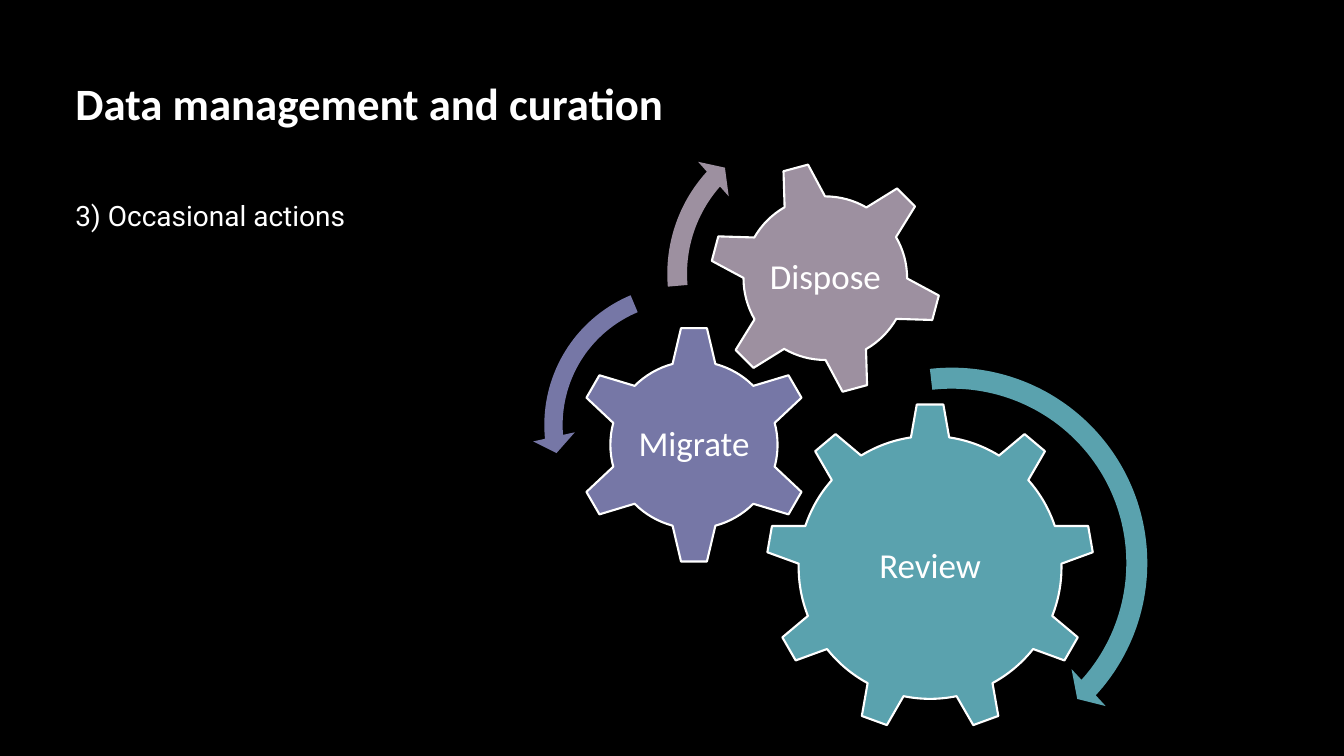
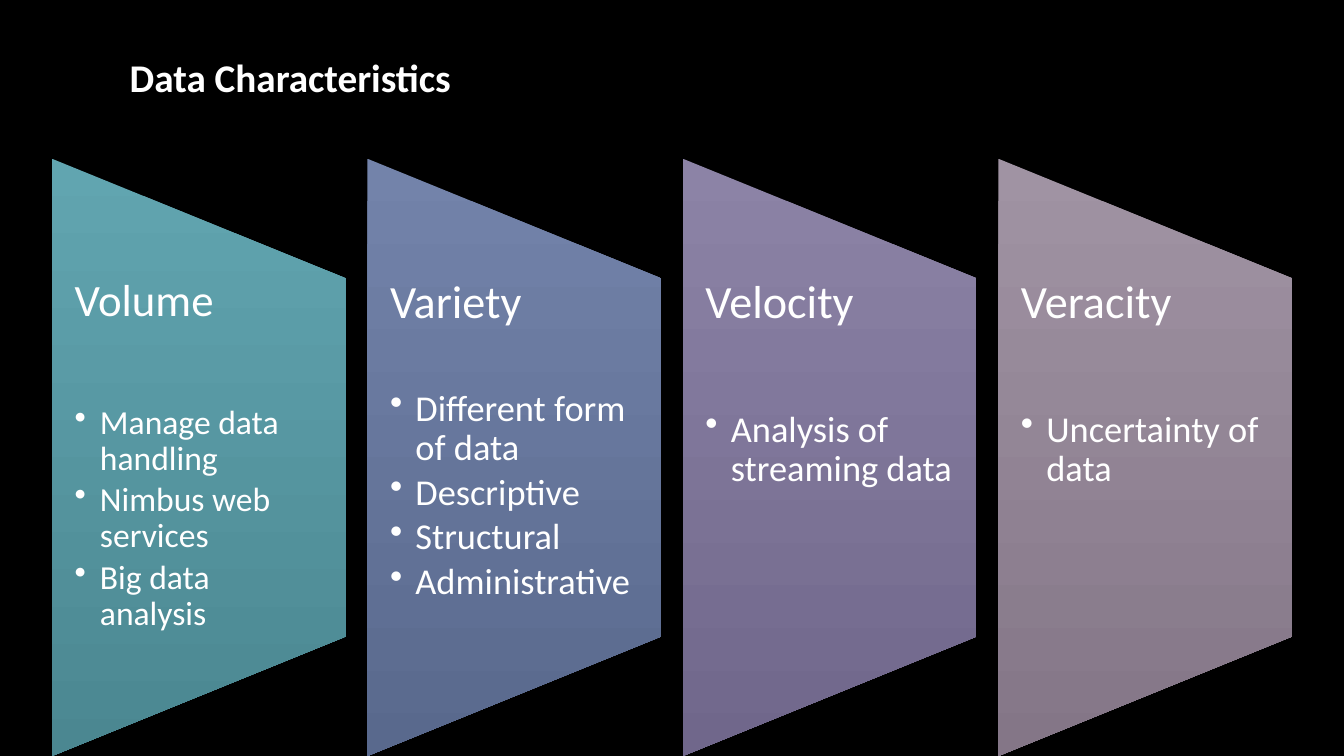
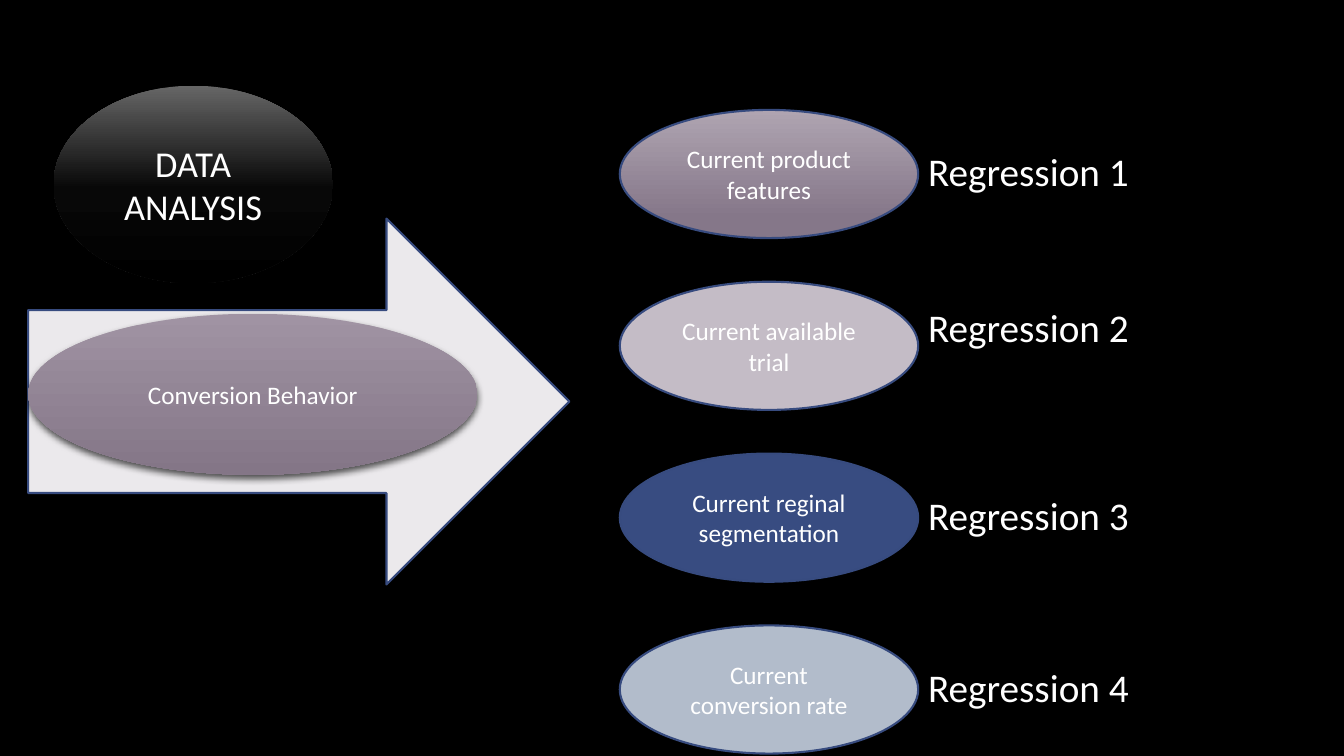
from copy import deepcopy
from dataclasses import dataclass

from lxml import etree
from pptx import Presentation
from pptx import util as u
from pptx.dml.color import RGBColor
from pptx.enum import shapes, text
from pptx.oxml.ns import qn

Cm, Pt = u.Cm, u.Pt
Kind = shapes.MSO_SHAPE


@dataclass(frozen=True)
class Theme:
    font: str = "Calibri"
    body_font: str = "Roboto"
    background: str = "000000"
    ink: str = "FFFFFF"
    teal: str = "5AA2AE"
    violet: str = "7677A6"
    mauve: str = "9D90A0"
    navy: str = "384C81"
    outline: str = "374B7F"
    ice: str = "B2BCCB"
    lilac: str = "C4BCC6"
    pale: str = "EBE9EC"
    teal_fade: tuple = ((0, "61A5B0"), (100, "4B8791"))
    blue_fade: tuple = ((0, "7383AA"), (100, "59698D"))
    violet_fade: tuple = ((0, "8C83A6"), (100, "70678B"))
    mauve_fade: tuple = ((0, "A093A3"), (100, "847687"))
    light_mauve_fade: tuple = ((0, "AFA4B1"), (84, "857789"))
    black_fade: tuple = ((0, "666666"), (52, "080808"), (100, "000000"))
    line_width: float = 1.5
    title: int = 32
    heading: int = 28
    callout: int = 26
    gear: int = 25
    body: int = 20
    note: int = 18


THEME = Theme()
CENTRED = {"alignment": text.PP_ALIGN.CENTER}


def colour(value):
    return RGBColor.from_string(value)


def assign(target, values):
    for key, value in values.items():
        setattr(target, key, value)


def new_slide(deck):
    slide = deck.slides.add_slide(deck.slide_layouts[6])
    slide.background.fill.solid()
    slide.background.fill.fore_color.rgb = colour(THEME.background)
    return slide


def write(paragraph, words, size, font=THEME.font, bold=False, **layout):
    assign(paragraph, layout)
    run = paragraph.add_run()
    run.text = words
    assign(run.font, {"name": font, "size": Pt(size), "bold": bold})
    run.font.color.rgb = colour(THEME.ink)


def text_box(slide, box, inset=(0.25, 0.13), **frame_values):
    """Add an empty text box; inset is (sides, top and bottom) in cm."""
    frame = slide.shapes.add_textbox(*map(Cm, box)).text_frame
    sides, ends = map(Cm, inset)
    assign(frame, {"word_wrap": True, "margin_left": sides, "margin_right": sides,
                   "margin_top": ends, "margin_bottom": ends, **frame_values})
    return frame


def line_of_text(slide, box, words, size, **run_values):
    """Add a single line that never wraps."""
    frame = text_box(slide, box, word_wrap=False)
    write(frame.paragraphs[0], words, size, **run_values)


def fade(shape, stops):
    """Fill from top to bottom, whatever the rotation of the shape."""
    shape.fill.gradient()
    shape.fill.gradient_angle = 270
    gradient = shape._element.spPr.find(qn("a:gradFill"))
    gradient.set("rotWithShape", "0")
    stop_list = gradient.find(qn("a:gsLst"))
    for _ in stops[2:]:
        stop_list.append(deepcopy(stop_list[-1]))
    for stop, (percent, value) in zip(shape.fill.gradient_stops, stops):
        stop.position = percent / 100
        stop.color.rgb = colour(value)


def cast_shadow(shape, opacity, blur):
    effects = shape._element.spPr.find(qn("a:effectLst"))
    shadow = etree.SubElement(effects, qn("a:outerShdw"), blurRad=str(Pt(blur)),
                              dist=str(Pt(3)), dir="5400000", rotWithShape="0")
    tint = etree.SubElement(shadow, qn("a:srgbClr"), val="000000")
    etree.SubElement(tint, qn("a:alpha"), val=str(opacity * 1000))


def draw(slide, kind, box, fill, line=None, rotation=0):
    """Add a preset shape; fill is one colour or a tuple of gradient stops."""
    shape = slide.shapes.add_shape(kind, *map(Cm, box))
    shape.rotation = rotation
    shape.shadow.inherit = False
    if isinstance(fill, tuple):
        fade(shape, fill)
    else:
        shape.fill.solid()
        shape.fill.fore_color.rgb = colour(fill)
    if line:
        shape.line.color.rgb = colour(line)
        shape.line.width = Pt(THEME.line_width)
    else:
        shape.line.fill.background()
    return shape


def oval(slide, box, words, size, fill, line=None):
    shape = draw(slide, Kind.OVAL, box, fill, line)
    shape.text_frame.word_wrap = True
    shape.text_frame.vertical_anchor = text.MSO_ANCHOR.MIDDLE
    write(shape.text_frame.paragraphs[0], words, size, **CENTRED)
    return shape


def square(box, centre, size):
    """Square around a centre that is relative to the box."""
    return (box[0] + centre[0] - size / 2, box[1] + centre[1] - size / 2, size, size)


def gear_train(slide, box):
    gears = (
        ("Review", Kind.GEAR_9, (10.04, 11.6), 8.28, 0, THEME.teal),
        ("Migrate", Kind.GEAR_6, (4.09, 8.51), 6.02, 0, THEME.violet),
        ("Dispose", Kind.GEAR_6, (7.4, 4.31), 5.89, 345, THEME.mauve),
    )
    turns = (
        (Kind.CIRCULAR_ARROW, (10.59, 11.49), 10.59, THEME.teal,
         (0.05, 2.99, 25.39, 158.12, 0.06)),
        (Kind.LEFT_CIRCULAR_ARROW, (3.86, 8.01), 7.7, THEME.violet,
         (0.06, 4.3, 104.89, 148.38, 0.07)),
        (Kind.CIRCULAR_ARROW, (7.24, 4.2), 8.31, THEME.mauve,
         (0.06, 3.94, 133.14, 105.08, 0.07)),
    )
    for name, kind, centre, size, rotation, fill in gears:
        draw(slide, kind, square(box, centre, size), fill, THEME.ink, rotation)
        label = text_box(slide, square(box, centre, size * 0.56), (0.08, 0.08),
                         vertical_anchor=text.MSO_ANCHOR.MIDDLE)
        write(label.paragraphs[0], name, THEME.gear, line_spacing=0.9, **CENTRED)
    for kind, centre, size, fill, bends in turns:
        turn = draw(slide, kind, square(box, centre, size), fill)
        for index, bend in enumerate(bends):
            turn.adjustments[index] = bend


def add_bullet(paragraph, indent):
    properties = paragraph._p.get_or_add_pPr()
    properties.set("marL", str(Cm(indent)))
    properties.set("indent", str(-Cm(indent)))
    etree.SubElement(properties, qn("a:buChar"), char="•")


def panel(slide, box, fill, name, name_size, gap, points, point_size):
    """Draw a tapering column with a heading and bullets in its middle part."""
    left, top, width, height = box
    turned = (left + (width - height) / 2, top + (height - width) / 2, height, width)
    column = draw(slide, Kind.FLOWCHART_MANUAL_OPERATION, turned, fill, rotation=270)
    cast_shadow(column, 35, 4)
    frame = text_box(slide, (left, top + height * 0.2, width, height * 0.6), (0.57, 0))
    write(frame.paragraphs[0], name, name_size, line_spacing=0.9, space_after=Pt(gap))
    for point in points:
        paragraph = frame.add_paragraph()
        add_bullet(paragraph, 0.64)
        write(paragraph, point, point_size, line_spacing=0.9,
              space_after=Pt(point_size * 0.15))


def panel_row(slide, box):
    panels = (
        (THEME.teal_fade, "Volume", 32, 56,
         ("Manage data handling", "Nimbus web services", "Big data analysis"), 24),
        (THEME.blue_fade, "Variety", 33, 44,
         ("Different form of data", "Descriptive", "Structural", "Administrative"), 26),
        (THEME.violet_fade, "Velocity", 33, 59, ("Analysis of streaming data",), 26),
        (THEME.mauve_fade, "Veracity", 33, 59, ("Uncertainty of data",), 26),
    )
    left, top, total, height = box
    gap = 0.55
    width = (total - gap * (len(panels) - 1)) / len(panels)
    for index, content in enumerate(panels):
        panel(slide, (left + index * (width + gap), top, width, height), *content)


def behavior_arrow(slide, box):
    left, top, width, height = box
    draw(slide, Kind.RIGHT_ARROW, box, THEME.pale, THEME.outline)
    behavior = oval(slide, (left, top + height * 0.26, width * 0.83, height * 0.44),
                    "Conversion Behavior", THEME.note, THEME.mauve_fade)
    cast_shadow(behavior, 65, 5)


def regression_list(slide, box):
    factors = (
        ("Current product features", THEME.light_mauve_fade, 0.82),
        ("Current available trial", THEME.lilac, 0.41),
        ("Current reginal segmentation", THEME.navy, 0.82),
        ("Current conversion rate", THEME.ice, 0.82),
    )
    left, top, width, height = box
    oval_width, oval_height = 7.52, 3.23
    pitch = (height - oval_height) / (len(factors) - 1)
    for index, (factor, fill, drop) in enumerate(factors):
        y = top + index * pitch
        oval(slide, (left, y, oval_width, oval_height), factor, THEME.note, fill,
             THEME.outline)
        line_of_text(slide, (left + oval_width, y + drop, width - oval_width, 1.45),
                     f"Regression {index + 1}", THEME.heading)


def curation_slide(deck):
    slide = new_slide(deck)
    gear_train(slide, (13.4, 2.7, 15.9, 16.8))
    line_of_text(slide, (1.65, 1.78, 15.47, 1.63), "Data management and curation",
                 THEME.title, bold=True)
    line_of_text(slide, (1.65, 4.88, 16.94, 1.12), "3) Occasional actions",
                 THEME.body, font=THEME.body_font, alignment=text.PP_ALIGN.LEFT)


def characteristics_slide(deck):
    slide = new_slide(deck)
    panel_row(slide, (1.31, 4, 31.25, 15.05))
    line_of_text(slide, (3.02, 1.22, 8.71, 1.45), "Data Characteristics",
                 THEME.heading, bold=True)


def analysis_slide(deck):
    slide = new_slide(deck)
    regression_list(slide, (15.62, 2.77, 13.21, 16.22))
    behavior_arrow(slide, (0.71, 5.51, 13.64, 9.22))
    oval(slide, (1.35, 2.16, 7.04, 4.98), "DATA ANALYSIS", THEME.callout,
         THEME.black_fade)


def main():
    deck = Presentation()
    deck.slide_width, deck.slide_height = Cm(33.87), Cm(19.05)
    for build in (curation_slide, characteristics_slide, analysis_slide):
        build(deck)
    deck.save("out.pptx")


if __name__ == "__main__":
    main()
